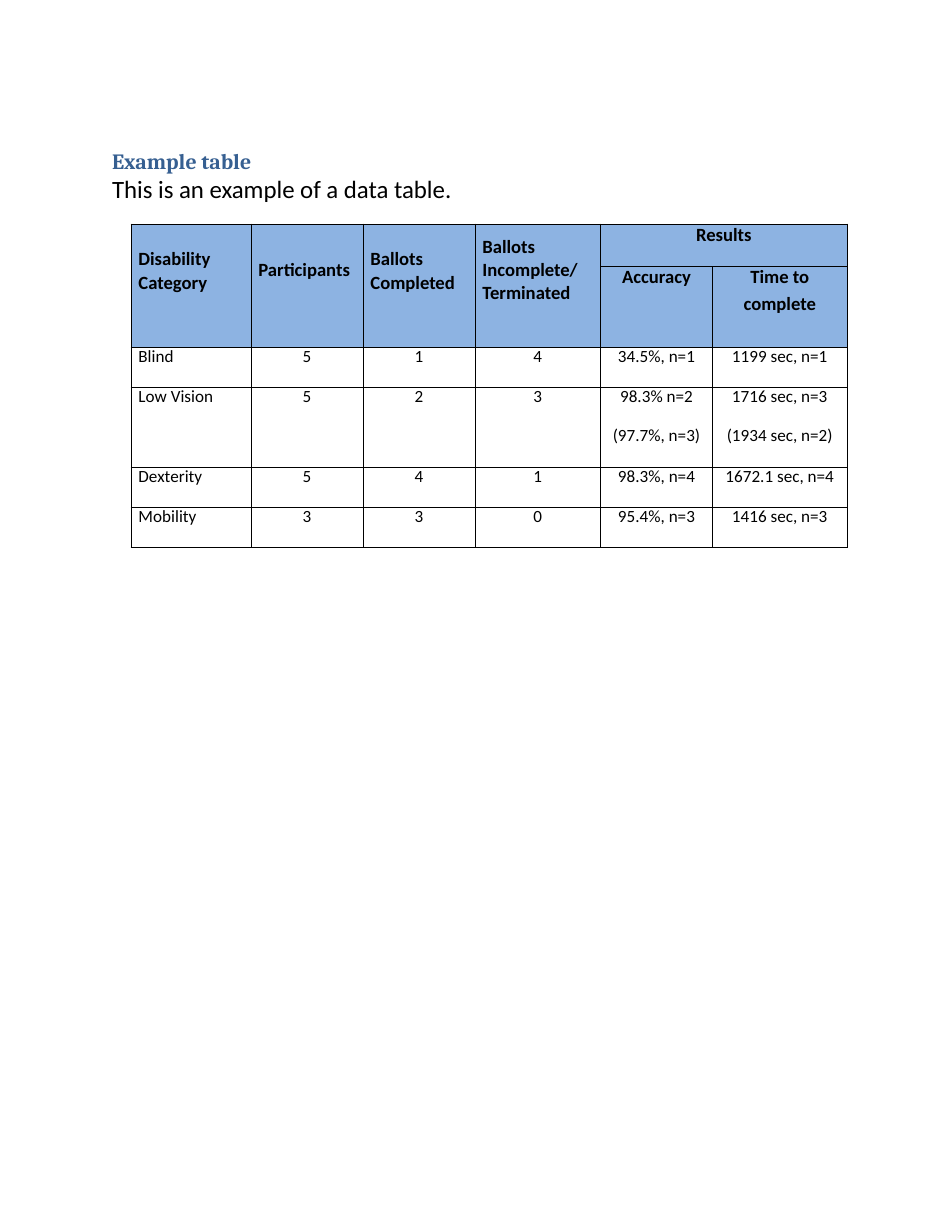
from lxml.etree import SubElement
from pptx import Presentation
from pptx.dml.color import RGBColor
from pptx.enum.text import MSO_ANCHOR as Anchor, MSO_AUTO_SIZE as AutoSize, PP_ALIGN as Align
from pptx.oxml.ns import qn
from pptx.util import Cm, Pt

HEADING = dict(size=14, name="Cambria", color="365F91", bold=True)
INTRO = dict(size=16, name="Calibri", color="000000", bold=False)
HEADER = dict(size=12, name="Calibri", color="000000", bold=True)
BODY = dict(HEADER, size=11, bold=False)
HEADER_FILL = "8DB3E2"

TITLE_LINES = [
    ("Example table", HEADING, dict(line_spacing=Pt(16.6))),
    ("This is an example of a data table.", INTRO, dict(line_spacing=Pt(19))),
]

COLUMN_WIDTHS = [2.72, 2.54, 2.54, 2.85, 2.54, 3.05]
ROW_HEIGHTS = [0.97, 1.55, 0.91, 1.8, 0.91, 0.91]
CELL_INDENT = 0.17

# Text and top margin of the headers that span both header rows
TALL_HEADERS = [
    ("Disability Category", 0.54),
    ("Participants", 0.79),
    ("Ballots Completed", 0.54),
    ("Ballots Incomplete/ Terminated", 0.25),
]
RESULTS_HEADER = "Results"
RESULT_COLUMNS = [["Accuracy"], ["Time to", "complete"]]

ROWS = [
    ("Blind", "5", "1", "4", ["34.5%, n=1"], ["1199 sec, n=1"]),
    ("Low Vision", "5", "2", "3", ["98.3% n=2", "(97.7%, n=3)"],
     ["1716 sec, n=3", "(1934 sec, n=2)"]),
    ("Dexterity", "5", "4", "1", ["98.3%, n=4"], ["1672.1 sec, n=4"]),
    ("Mobility", "3", "3", "0", ["95.4%, n=3"], ["1416 sec, n=3"]),
]


def rgb(color):
    return RGBColor.from_string(color)


def set_all(target, values):
    for name, value in values.items():
        setattr(target, name, value)


def write_paragraphs(text_frame, lines):
    """Write (text, font values, paragraph values) lines into a text frame."""
    for index, (text, font, layout) in enumerate(lines):
        paragraph = text_frame.paragraphs[0] if index == 0 else text_frame.add_paragraph()
        set_all(paragraph, dict(dict(space_before=Pt(0), alignment=Align.LEFT), **layout))
        run = paragraph.add_run()
        run.text = text
        set_all(run.font, dict(size=Pt(font["size"]), name=font["name"], bold=font["bold"]))
        run.font.color.rgb = rgb(font["color"])


def add_borders(cell):
    properties = cell._tc.get_or_add_tcPr()
    for side in ("lnL", "lnR", "lnT", "lnB"):
        line = SubElement(properties, qn(f"a:{side}"), w=str(Pt(0.5)))
        fill = SubElement(line, qn("a:solidFill"))
        SubElement(fill, qn("a:srgbClr"), val="000000")


def fill_header(table):
    for column, (text, top) in enumerate(TALL_HEADERS):
        cell = table.cell(0, column)
        cell.merge(table.cell(1, column))
        set_all(cell, dict(margin_left=Cm(CELL_INDENT), margin_top=Cm(top)))
        spacing = 1.0 if text == "Participants" else 1.02
        write_paragraphs(cell.text_frame, [(text, HEADER, dict(line_spacing=spacing))])

    first = len(TALL_HEADERS)
    results = table.cell(0, first)
    results.merge(table.cell(0, first + 1))
    centered = dict(alignment=Align.CENTER, line_spacing=Pt(14.2))
    following = dict(alignment=Align.CENTER, space_before=Pt(2.4))
    write_paragraphs(results.text_frame, [(RESULTS_HEADER, HEADER, centered)])
    for column, texts in enumerate(RESULT_COLUMNS, first):
        write_paragraphs(table.cell(1, column).text_frame,
                         [(text, HEADER, following if index else centered)
                          for index, text in enumerate(texts)])


def fill_body(table):
    for row, (category, *values) in enumerate(ROWS, 2):
        label = table.cell(row, 0)
        label.margin_left = Cm(CELL_INDENT)
        write_paragraphs(label.text_frame, [(category, BODY, dict(line_spacing=Pt(12.9)))])
        for column, value in enumerate(values, 1):
            texts = [value] if isinstance(value, str) else value
            write_paragraphs(table.cell(row, column).text_frame, [
                (text, BODY, dict(alignment=Align.CENTER, line_spacing=Pt(12.9),
                                  space_before=Pt(12.2 if index else 0)))
                for index, text in enumerate(texts)])


def add_results_table(slide):
    frame = slide.shapes.add_table(
        len(ROW_HEIGHTS), len(COLUMN_WIDTHS), Cm(2.97), Cm(5.08),
        Cm(sum(COLUMN_WIDTHS)), Cm(sum(ROW_HEIGHTS)))
    table = frame.table
    set_all(table, dict(first_row=False, horz_banding=False))
    for column, width in zip(table.columns, COLUMN_WIDTHS):
        column.width = Cm(width)
    for index, (row, height) in enumerate(zip(table.rows, ROW_HEIGHTS)):
        row.height = Cm(height)
        for cell in row.cells:
            set_all(cell, dict(margin_left=0, margin_right=0, margin_top=0, margin_bottom=0,
                               vertical_anchor=Anchor.TOP))
            add_borders(cell)
            if index < 2:
                cell.fill.solid()
                cell.fill.fore_color.rgb = rgb(HEADER_FILL)
            else:
                cell.fill.background()
    fill_header(table)
    fill_body(table)


def main():
    presentation = Presentation()
    set_all(presentation, dict(slide_width=Cm(21.59), slide_height=Cm(27.94)))
    slide = presentation.slides.add_slide(presentation.slide_layouts[5])

    title = slide.shapes.title
    set_all(title, dict(left=Cm(2.51), top=Cm(3.33), width=Cm(7.82), height=Cm(1.32)))
    set_all(title.text_frame, dict(
        margin_left=Cm(0.03), margin_right=0, margin_top=Cm(0.03), margin_bottom=0,
        vertical_anchor=Anchor.TOP, word_wrap=True, auto_size=AutoSize.NONE))
    write_paragraphs(title.text_frame, TITLE_LINES)

    add_results_table(slide)
    presentation.save("out.pptx")


if __name__ == "__main__":
    main()
